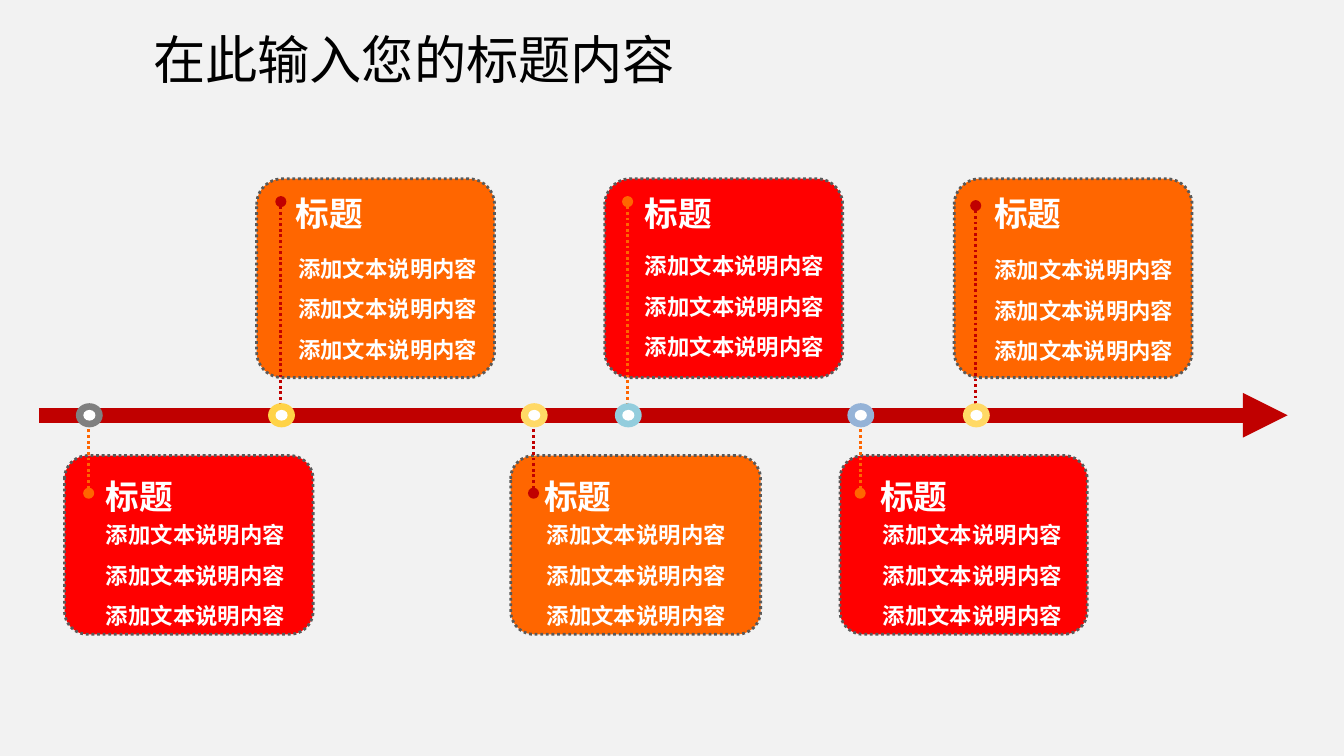
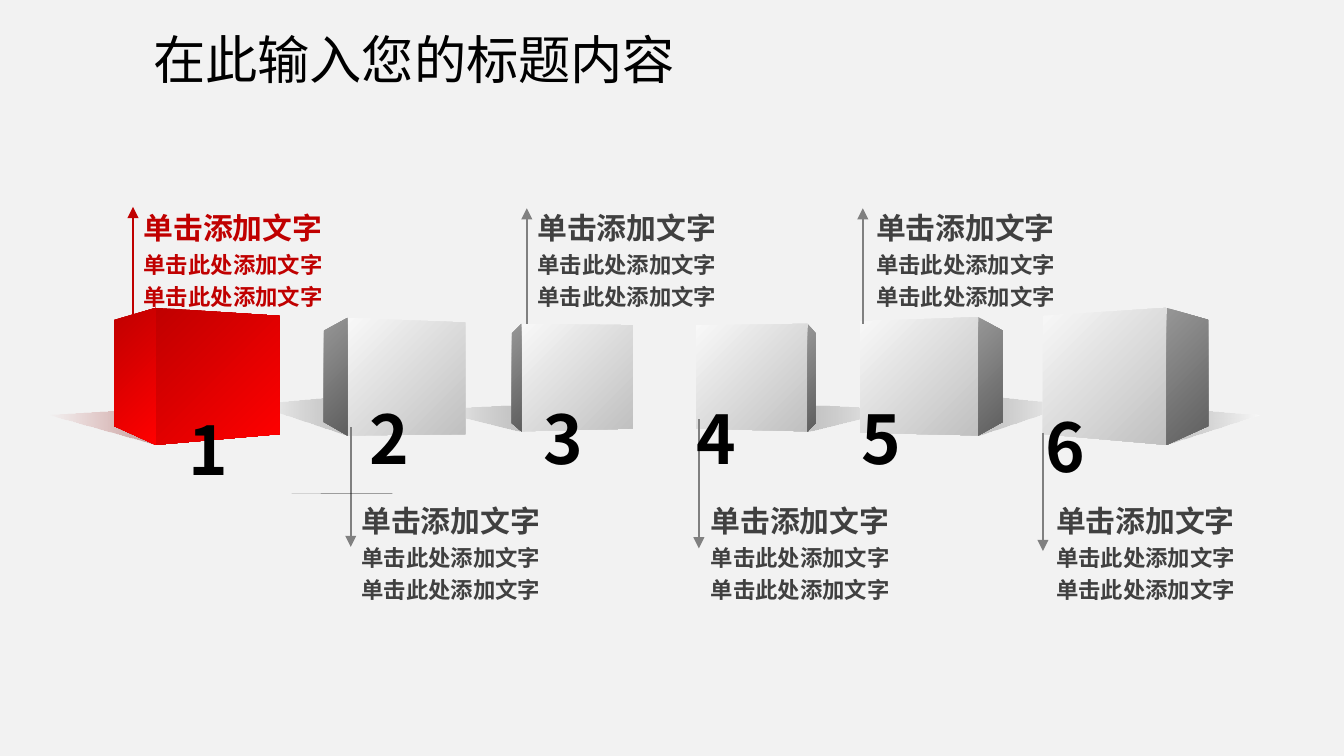
import pptx
import pptx.dml.color
import pptx.enum.dml
import pptx.enum.shapes
import pptx.enum.text
import pptx.oxml
import pptx.oxml.ns
import pptx.util

HUES = {
    "page": "F2F2F2", "ink": "000000", "white": "FFFFFF", "deep": "C00000",
    "red": "FF0000", "orange": "FF6600", "edge": "595959", "grey": "808080",
    "gold": "FFD347", "sand": "FFD966", "aqua": "93CDDD", "sky": "95B3D7",
    "text": "404040", "hair": "020202",
}
FONT = "Noto Sans CJK SC"
TITLE = "在此输入您的标题内容"
RGB = {name: pptx.dml.color.RGBColor.from_string(hue) for name, hue in HUES.items()}
KIND = pptx.enum.shapes.MSO_SHAPE
FIT = pptx.enum.text.MSO_AUTO_SIZE
ALIGN = pptx.enum.text.PP_ALIGN
DOTS = pptx.enum.dml.MSO_LINE.ROUND_DOT
Pt = pptx.util.Pt

deck = pptx.Presentation()
deck.slide_width = pptx.util.Inches(10)
deck.slide_height = deck.slide_width * 9 // 16
unit = deck.slide_width / 100  # all lengths are percent of the slide width
back = deck.slide_master.background.fill
back.solid()
back.fore_color.rgb = RGB["page"]


def write(slide, lines, box, sizes, hue="ink", bold=True, space=None,
          align=ALIGN.LEFT, wrap=True, shape=None):
    """Put lines, with one size each, in a new text box or the given shape."""
    shape = shape or slide.shapes.add_textbox(0, 0, 0, 0)
    shape.left, shape.top, shape.width, shape.height = [int(n * unit) for n in box]
    frame = shape.text_frame
    frame.word_wrap = wrap
    frame.auto_size = FIT.SHAPE_TO_FIT_TEXT if wrap else FIT.NONE
    frame.vertical_anchor = pptx.enum.text.MSO_ANCHOR.TOP
    frame.text = "\n".join(lines)
    for para, size in zip(frame.paragraphs, sizes):
        para.alignment = align
        para.line_spacing = space
        font = para.runs[0].font
        font.size, font.bold, font.name = Pt(size), bold, FONT
        font.color.rgb = RGB[hue]
        east = pptx.oxml.parse_xml(
            f'<a:ea {pptx.oxml.ns.nsdecls("a")} typeface="{FONT}"/>')
        font._element.find(pptx.oxml.ns.qn("a:latin")).addnext(east)


def link(slide, start, end, hue, width, dash=None, **tips):
    """Draw a line; tips may hold headEnd and tailEnd, in that order."""
    ends = [int(n * unit) for n in (*start, *end)]
    line = slide.shapes.add_connector(pptx.enum.shapes.MSO_CONNECTOR.STRAIGHT, *ends)
    line.line.color.rgb = RGB[hue]
    line.line.width = Pt(width)
    line.line.dash_style = dash
    space = pptx.oxml.ns.nsdecls("a")
    for tag, tip in tips.items():
        line.line._get_or_add_ln().append(
            pptx.oxml.parse_xml(f'<a:{tag} {space} type="{tip}"/>'))
    line._element.spPr.append(pptx.oxml.parse_xml(f"<a:effectLst {space}/>"))


slides = [deck.slides.add_slide(deck.slide_layouts[5]) for _ in range(2)]
for slide in slides:
    write(slide, [TITLE], (10.4, 1.5, 42.4, 5.7), [28], bold=False,
          shape=slide.shapes.title)
flow, blocks = slides

# Timeline with cards above and below
link(flow, (2.9, 30.9), (95.8, 30.9), "deep", 8, tailEnd="triangle")
ABOVE = {"top": 13.3, "tall": 14.8, "head": 13.9}
BELOW = {"top": 33.9, "tall": 13.3, "head": 34.9}
# side, left, width, fill, pin x, pin tip y, pin hue, knot hue, head x, body x, body y
cards = [
    (ABOVE, 19.1, 17.7, "orange", 20.9, 15, "deep", "gold", 21, 21.2, 17.5),
    (BELOW, 4.8, 18.5, "red", 6.6, 36.7, "orange", "grey", 6.9, 6.9, 37.3),
    (BELOW, 38, 18.6, "orange", 39.7, 36.7, "deep", "sand", 39.5, 39.7, 37.3),
    (ABOVE, 45, 17.7, "red", 46.7, 15, "orange", "aqua", 47, 47, 17.3),
    (BELOW, 62.5, 18.4, "red", 64, 36.7, "orange", "sky", 64.5, 64.7, 37.3),
    (ABOVE, 71, 17.7, "orange", 72.6, 15.3, "deep", "sand", 73, 73, 17.6),
]
for side, left, wide, fill, pin, tip, hue, knot, head, body, row in cards:
    box = [int(n * unit) for n in (left, side["top"], wide, side["tall"])]
    card = flow.shapes.add_shape(KIND.ROUNDED_RECTANGLE, *box)
    card.adjustments[0] = 0.13
    card.shadow.inherit = False
    card.fill.solid()
    card.fill.fore_color.rgb = RGB[fill]
    card.line.color.rgb = RGB["edge"]
    card.line.width = Pt(1.5)
    card.line.dash_style = DOTS
    link(flow, (pin, tip), (pin, 31), hue, 1.5, DOTS, headEnd="oval", tailEnd="oval")
    ring = flow.shapes.add_group_shape()
    for wide, tall, tone in ((2, 1.8, knot), (0.9, 0.8, "white")):
        box = [int(n * unit) for n in (pin + 0.05 - wide / 2, 30.9 - tall / 2, wide, tall)]
        dot = ring.shapes.add_shape(KIND.OVAL, *box)
        dot.shadow.inherit = False
        dot.fill.solid()
        dot.fill.fore_color.rgb = RGB[tone]
        dot.line.fill.background()
    write(flow, ["标题"], (head, side["head"], 14, 4), [18], "white")
    write(flow, ["添加文本说明内容"] * 3, (body, row, 16.5, 10.1), [12] * 3,
          "white", space=1.5)

# Row of cubes: each gradient is its stops (hue, opacity) and its direction
RADIAL = '<a:path path="circle"><a:fillToRect l="100000" t="100000"/></a:path>'
SLANT = '<a:lin ang="2700000" scaled="0"/>'
EAST = '<a:lin ang="0" scaled="0"/>'
WEST = '<a:lin ang="10800000" scaled="0"/>'
FRONT = (("F8F8F8", 100), ("C0C0C0", 100))
SIDE = (("969696", 100), ("5F5F5F", 100))
SHADE = (("FFFFFF", 50), ("666666", 34))
GLOW = (("FF0000", 100), ("C00000", 100))
BLUSH = (("C0504D", 0), ("933D3B", 50))
# edge, far and side as (x, top, bottom); shadow tip and back as (x, y);
# caption x, y; arrow x, start, end; digit x, y
cubes = {
    3: ((38.8, 24.1, 32.1), (47.1, 24.2, 31.9), (38.1, 24.8, 31.5), (31.8, 30.5),
        (38.3, 30.2), (39, 14.6), (39.2, 24.1, 15.5), (41.2, 29.1)),
    2: ((25.85, 23.65, 32.4), (34.6, 24, 32.3), (24.1, 24.6, 31.4), (18.8, 30.1),
        (24.9, 29.6), (25.9, 36.4), (26.1, 31.8, 40.7), (28.3, 29.1)),
    4: ((60.1, 24.1, 32.1), (51.8, 24.2, 31.9), (60.7, 24.8, 31.5), (67.1, 30.5),
        (60.7, 30.2), (51.9, 36.4), (52, 31.2, 40.8), (52.6, 29.1)),
    5: ((72.8, 23.6, 32.4), (64, 23.9, 32.2), (74.6, 24.6, 31.4), (79.8, 30.1),
        (73.5, 29.5), (64.2, 14.6), (64.2, 24.1, 15.5), (64.9, 29.1)),
    6: ((86.8, 22.9, 33.1), (77.6, 23.5, 32.3), (89.9, 23.8, 31.7), (93.7, 30.9),
        (87.6, 30.4), (77.6, 36.4), (77.6, 32.2, 41), (78.6, 29.7)),
    1: ((11.6, 22.9, 33.1), (20.8, 23.5, 32.3), (8.5, 23.8, 31.7), (3.5, 30.9),
        (10.7, 30.5), (9.7, 14.6), (9.9, 23.4, 15.4), (14.8, 29.9)),
}
for num, (edge, far, side, tip, rear, note, arrow, spot) in cubes.items():
    hot = num == 1
    x, top, base = edge
    faces = [([(x, base), tip, rear], BLUSH if hot else SHADE,
              EAST if tip[0] < x else WEST)]
    for (out, high, low), stops in ((far, FRONT), (side, SIDE)):
        faces.append(([(x, top), (x, base), (out, low), (out, high)],
                      GLOW if hot else stops, RADIAL if hot else SLANT))
    cube = blocks.shapes.add_group_shape()
    for points, stops, way in faces:
        spots = [(int(across * unit), int(down * unit)) for across, down in points]
        pen = cube.shapes.build_freeform(*spots[0])
        pen.add_line_segments(spots[1:], close=True)
        face = pen.convert_to_shape()
        face.shadow.inherit = False
        face.line.fill.background()
        face.fill.background()
        marks = "".join(
            f'<a:gs pos="{at * 100000}"><a:srgbClr val="{hue}">'
            f'<a:alpha val="{dense * 1000}"/></a:srgbClr></a:gs>'
            for at, (hue, dense) in enumerate(stops))
        blend = pptx.oxml.parse_xml(
            f'<a:gradFill {pptx.oxml.ns.nsdecls("a")} rotWithShape="1">'
            f"<a:gsLst>{marks}</a:gsLst>{way}</a:gradFill>")
        shell = face._element.spPr
        shell.replace(shell.find(pptx.oxml.ns.qn("a:noFill")), blend)
    mid, start, end = arrow
    link(blocks, (mid, start), (mid, end), "deep" if hot else "grey", 1,
         tailEnd="triangle")
    write(blocks, ["单击添加文字"] + ["单击此处添加文字"] * 2, (*note, 15.6, 9.1),
          [16, 12, 12], "deep" if hot else "text", space=1.2)
    write(blocks, [str(num)], (*spot, 1.4, 2.1), [36], align=ALIGN.CENTER, wrap=False)

left, right, level = [int(n * unit) for n in (21.7, 29.2, 36.7)]
pen = blocks.shapes.build_freeform(right, level)
pen.add_line_segments([(left, level), (right, level + Pt(0.1))], close=True)
sliver = pen.convert_to_shape()
sliver.shadow.inherit = False
sliver.fill.solid()
sliver.fill.fore_color.rgb = RGB["hair"]
sliver.line.fill.background()

deck.save("out.pptx")
